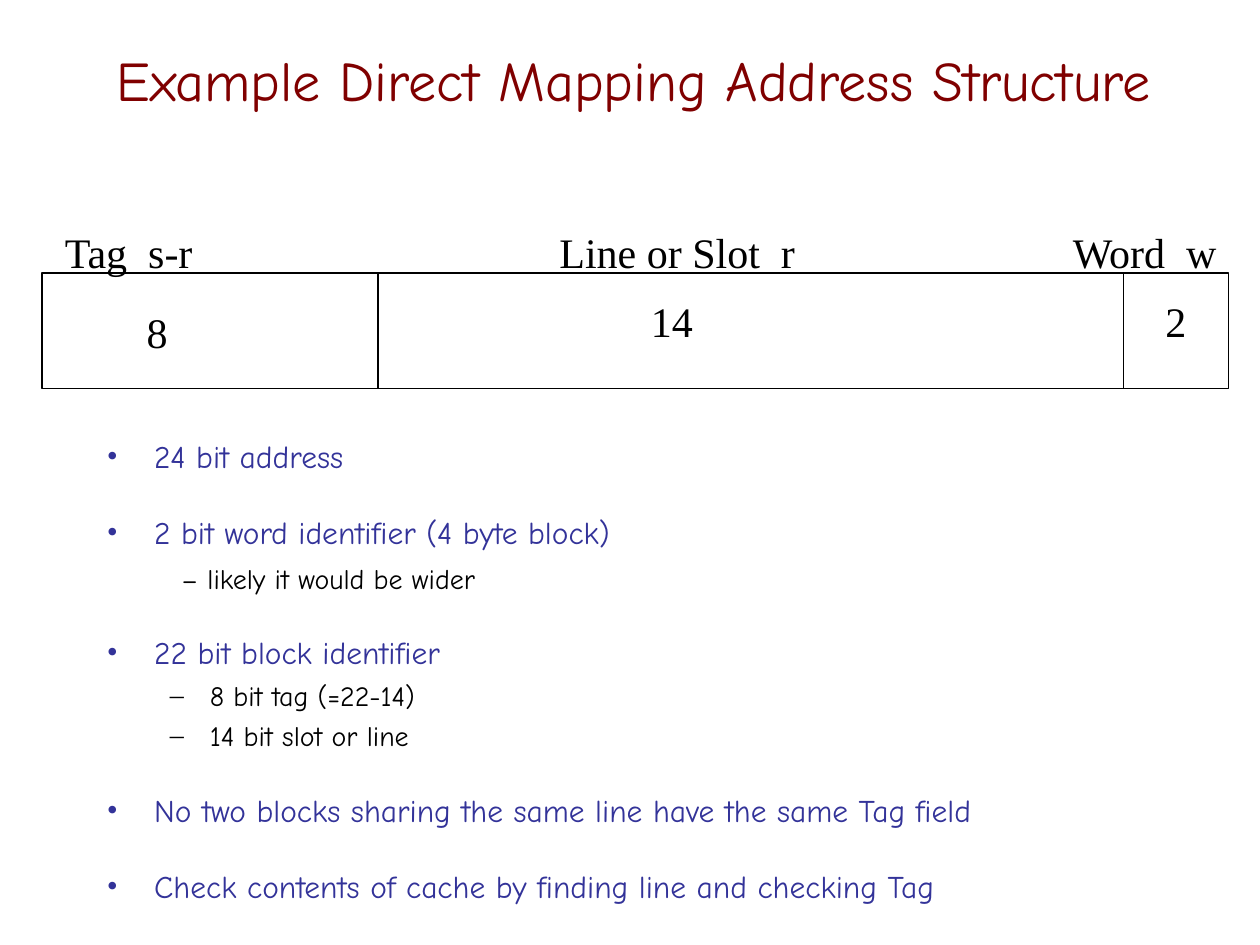
from dataclasses import dataclass

from lxml import etree
from pptx import Presentation
from pptx.dml.color import RGBColor
from pptx.enum.shapes import MSO_CONNECTOR, MSO_SHAPE
from pptx.enum.text import MSO_ANCHOR, MSO_AUTO_SIZE, PP_ALIGN
from pptx.oxml.ns import qn
from pptx.util import Pt

PX = 7620
RECT = MSO_SHAPE.RECTANGLE
STRAIGHT = MSO_CONNECTOR.STRAIGHT
MIDDLE = MSO_ANCHOR.MIDDLE
NO_FIT = MSO_AUTO_SIZE.NONE
GROW = MSO_AUTO_SIZE.SHAPE_TO_FIT_TEXT
CENTER = PP_ALIGN.CENTER


@dataclass(frozen=True)
class Theme:
    """Colours, fonts and type sizes of the slide."""
    title: str = "800000"
    accent: str = "333399"
    ink: str = "000000"
    paper: str = "FFFFFF"
    hand: str = "Comic Neue"
    serif: str = "Times New Roman"
    title_size: int = 32
    field_size: int = 24
    point_size: int = 18
    sub_size: int = 16
    rule: float = 0.75


def px(*values):
    """Turn px lengths into EMU."""
    return [round(v * PX) for v in values]


def write(p, text, *, font, size, color, align=None, before=0):
    """Add one formatted run to a paragraph."""
    r = p.add_run()
    r.text = text
    r.font.name = font
    r.font.size = Pt(size)
    r.font.color.rgb = RGBColor.from_string(color)
    p.alignment = align
    p.space_before = Pt(before)


class Slide:
    """Draws themed elements on the current slide."""

    def __init__(self, s, theme):
        """Keep the slide and its theme, and paint the background."""
        self.s = s
        self.theme = theme
        fill = s.background.fill
        fill.solid()
        fill.fore_color.rgb = RGBColor.from_string(theme.paper)

    def title(self, text, box):
        """Place and format the title placeholder."""
        t = self.theme
        sp = self.s.shapes.title
        sp.left, sp.top, sp.width, sp.height = px(*box)
        tf = sp.text_frame
        tf.auto_size = NO_FIT
        tf.vertical_anchor = MIDDLE
        tf.margin_left, tf.margin_right = px(30, 12)
        write(tf.paragraphs[0], text, font=t.hand, size=t.title_size,
              color=t.title, align=CENTER)

    def outline(self, box):
        """Draw an unfilled frame."""
        sp = self.s.shapes.add_shape(RECT, *px(*box))
        sp.shadow.inherit = False
        sp.fill.background()
        self.stroke(sp)

    def divider(self, x, top, bottom):
        """Draw a vertical line."""
        sp = self.s.shapes.add_connector(STRAIGHT, *px(x, top, x, bottom))
        self.stroke(sp)
        etree.SubElement(sp._element.spPr, qn("a:effectLst"))

    def stroke(self, sp):
        """Apply the common line style."""
        sp.line.color.rgb = RGBColor.from_string(self.theme.ink)
        sp.line.width = Pt(self.theme.rule)

    def label(self, text, box):
        """Add a one-line field label."""
        t = self.theme
        tf = self.s.shapes.add_textbox(*px(*box)).text_frame
        tf.word_wrap = False
        tf.auto_size = GROW
        write(tf.paragraphs[0], text, font=t.serif, size=t.field_size, color=t.ink)

    def points(self, items, box):
        """Add a list of (text, bullet, margin, hanging, space before)."""
        t = self.theme
        tf = self.s.shapes.add_textbox(*px(*box)).text_frame
        tf.word_wrap = True
        for i, (text, bullet, margin, hanging, before) in enumerate(items):
            p = tf.add_paragraph() if i else tf.paragraphs[0]
            main = bullet == "•"
            color = t.accent if main else t.ink
            write(p, text, font=t.hand, color=color, before=before,
                  size=t.point_size if main else t.sub_size)
            self.bullet(p, bullet, color, margin, hanging)

    def bullet(self, p, char, color, margin, hanging):
        """Set indents and the bullet of a paragraph."""
        pPr = p._p.get_or_add_pPr()
        left, indent = px(margin, -hanging)
        pPr.set("marL", str(left))
        pPr.set("indent", str(indent))
        if not char:
            etree.SubElement(pPr, qn("a:buNone"))
            return
        clr = etree.SubElement(pPr, qn("a:buClr"))
        etree.SubElement(clr, qn("a:srgbClr"), val=color)
        etree.SubElement(pPr, qn("a:buFont"), typeface=self.theme.serif)
        etree.SubElement(pPr, qn("a:buChar"), char=char)


def main():
    """Build and save the slide."""
    prs = Presentation()
    prs.slide_width, prs.slide_height = px(1200, 900)
    slide = Slide(prs.slides.add_slide(prs.slide_layouts[5]), Theme())
    slide.title("Example Direct Mapping Address Structure", (20, 20, 1150, 110))

    left, top, width, height = 40, 260, 1130, 110
    slide.outline((left, top, width, height))
    for x in (360, 1070):
        slide.divider(x, top, top + height)

    fields = [
        ("Tag  s-r", 50, 148, "8", 128, 286, 43),
        ("Line or Slot  r", 521, 250, "14", 608, 276, 64),
        ("Word  w", 1010, 163, "2", 1098, 276, 43),
    ]
    for name, name_x, name_w, bits, bits_x, bits_y, bits_w in fields:
        slide.label(name, (name_x, top - 50, name_w, 60))
        slide.label(bits, (bits_x, bits_y, bits_w, 60))

    point, sub, aside = ("•", 45, 45), ("–", 98, 38), (None, 71, 0)
    slide.points([
        ("24 bit address", *point, 4.5),
        ("2 bit word identifier (4 byte block)", *point, 22),
        ("– likely it would be wider", *aside, 6),
        ("22 bit block identifier", *point, 22),
        ("8 bit tag (=22-14)", *sub, 4),
        ("14 bit slot or line", *sub, 4),
        ("No two blocks sharing the same line have the same Tag field", *point, 22),
        ("Check contents of cache by finding line and checking Tag", *point, 22),
    ], (90, 410, 1043, 470))
    prs.save("out.pptx")


if __name__ == "__main__":
    main()
